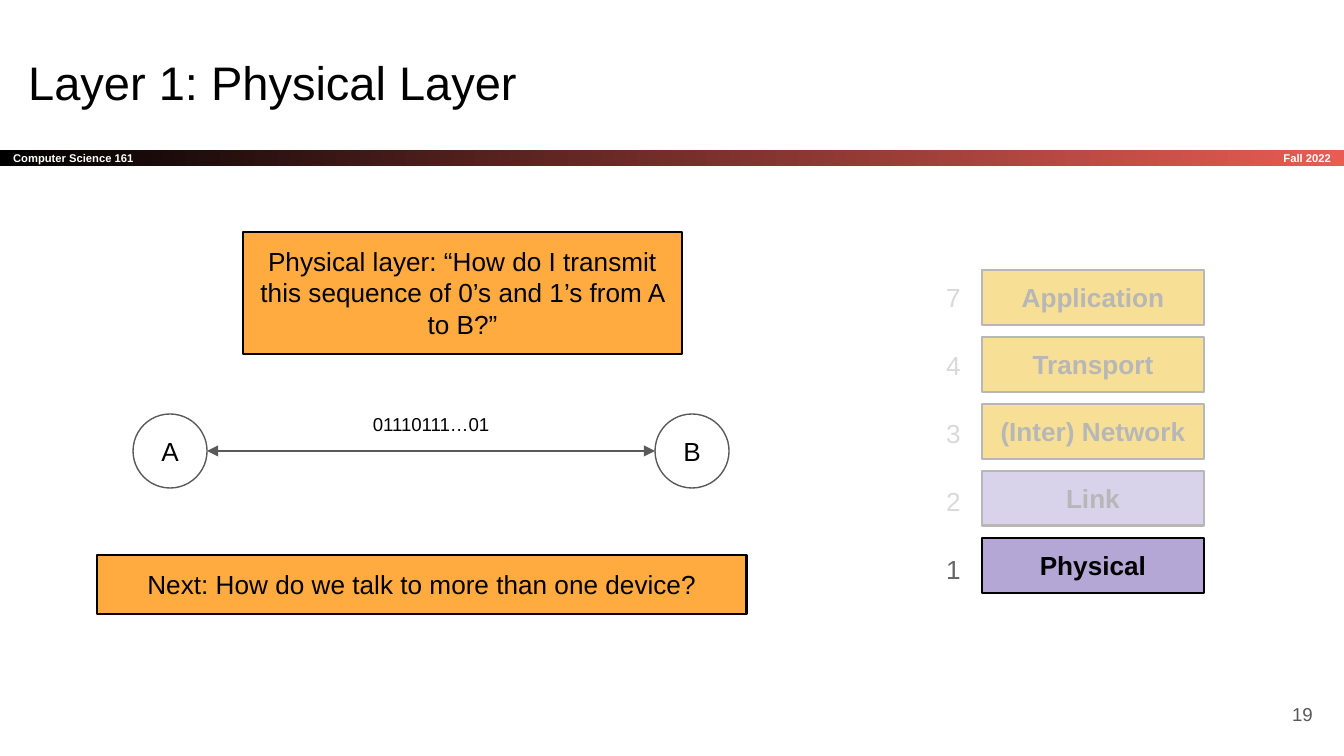
from lxml.etree import SubElement
from pptx import Presentation
from pptx.dml.color import RGBColor
from pptx.enum.shapes import MSO_CONNECTOR, MSO_SHAPE
from pptx.enum.text import MSO_ANCHOR, PP_ALIGN
from pptx.oxml.ns import qn
from pptx.util import Emu, Pt

PX = 914400 / 134.4
COLORS = {
    "black": "000000", "white": "FFFFFF", "coral": "E85C54",
    "orange": "FFAB40", "yellow": "F1C232", "purple": "B4A7D6",
    "gray": "595959", "number": "666666",
    "faded": "B7B7B7", "faded_number": "D9D9D9",
}
ALIGN = {"l": PP_ALIGN.LEFT, "c": PP_ALIGN.CENTER, "r": PP_ALIGN.RIGHT}


def px(n):
    return Emu(round(n * PX))


def rgb(name):
    return RGBColor.from_string(COLORS[name])


def write(sp, text, size=14, color="black", bold=False, align="c", middle=True):
    tf = sp.text_frame
    tf.word_wrap = True
    tf.margin_left = tf.margin_right = tf.margin_top = tf.margin_bottom = Pt(7.2)
    tf.vertical_anchor = MSO_ANCHOR.MIDDLE if middle else MSO_ANCHOR.TOP
    p = tf.paragraphs[0]
    p.alignment = ALIGN[align]
    r = p.add_run()
    r.text = text
    r.font.name = "Arial"
    r.font.size = Pt(size)
    r.font.bold = bold
    r.font.color.rgb = rgb(color)


class Deck:
    def __init__(self, width, height):
        self.prs = Presentation()
        self.prs.slide_width, self.prs.slide_height = px(width), px(height)
        self.s = self.prs.slides.add_slide(self.prs.slide_layouts[6])

    def text(self, x, y, w, h, text, **fmt):
        write(self.s.shapes.add_textbox(px(x), px(y), px(w), px(h)), text, **fmt)

    def shape(self, x, y, w, h, text, fill, line="black", line_width=1.5,
              kind=MSO_SHAPE.RECTANGLE, alpha=None, **fmt):
        sp = self.s.shapes.add_shape(kind, px(x), px(y), px(w), px(h))
        sp.shadow.inherit = False
        sp.fill.solid()
        sp.fill.fore_color.rgb = rgb(fill)
        if alpha:
            clr = sp.fill._xPr.find(qn("a:solidFill"))[0]
            SubElement(clr, qn("a:alpha"), val=str(alpha * 1000))
        sp.line.color.rgb = rgb(line)
        sp.line.width = Pt(line_width)
        write(sp, text, **fmt)

    def bar(self, x, y, w, h, text, start, end, **fmt):
        sp = self.s.shapes.add_shape(MSO_SHAPE.RECTANGLE, px(x), px(y), px(w), px(h))
        sp.shadow.inherit = False
        sp.fill.gradient()
        sp.fill.gradient_angle = 0
        for stop, color in zip(sp.fill.gradient_stops, (start, end)):
            stop.color.rgb = rgb(color)
        sp.line.fill.background()
        write(sp, text, **fmt)

    def double_arrow(self, x1, y1, x2, y2, color, width):
        c = self.s.shapes.add_connector(MSO_CONNECTOR.STRAIGHT,
                                        px(x1), px(y1), px(x2), px(y2))
        c.line.color.rgb = rgb(color)
        c.line.width = Pt(width)
        ln = c.line._get_or_add_ln()
        for end in ("a:headEnd", "a:tailEnd"):
            SubElement(ln, qn(end), type="triangle")
        SubElement(c._element.spPr, qn("a:effectLst"))


def main():
    deck = Deck(1344, 756)

    # Header bar and title
    small = dict(size=6, color="white", bold=True)
    deck.bar(0, 150, 1344, 16, "Computer Science 161", "black", "coral",
             align="l", **small)
    deck.text(1121, 150, 223, 16, "Fall 2022", align="r", **small)
    deck.text(15, 40, 1253, 85, "Layer 1: Physical Layer", size=25.2,
              align="l", middle=False)

    # Layer stack, with only the physical layer in focus
    layers = [("7", "Application", "yellow"), ("4", "Transport", "yellow"),
              ("3", "(Inter) Network", "yellow"), ("2", "Link", "purple"),
              ("1", "Physical", "purple")]
    for i, (number, name, fill) in enumerate(layers):
        active = name == "Physical"
        ink = "black" if active else "faded"
        deck.shape(982, 270 + 67 * i, 222, 55, name, fill, line=ink,
                   alpha=None if active else 51, color=ink, bold=True)
        deck.text(933, 268 + 68 * i, 38, 59, number, align="l", middle=False,
                  color="number" if active else "faded_number")

    # Two devices joined by a link
    for x, name in ((133, "A"), (655, "B")):
        deck.shape(x, 414, 74, 74, name, "white", line="gray", line_width=0.75,
                   kind=MSO_SHAPE.OVAL)
    deck.double_arrow(207, 451, 655, 451, "gray", 0.75)
    deck.text(328, 402, 206, 50, "01110111…01", size=10, middle=False)

    # Callouts
    deck.shape(243, 232, 439, 122,
               "Physical layer: “How do I transmit this sequence of 0’s and 1’s "
               "from A to B?”", "orange", middle=False)
    deck.shape(97, 555, 650, 59, "Next: How do we talk to more than one device?",
               "orange", middle=False)

    # Slide number
    deck.text(1246, 685, 80, 58, "19", size=10, color="gray", align="r")

    deck.prs.save("out.pptx")


if __name__ == "__main__":
    main()
